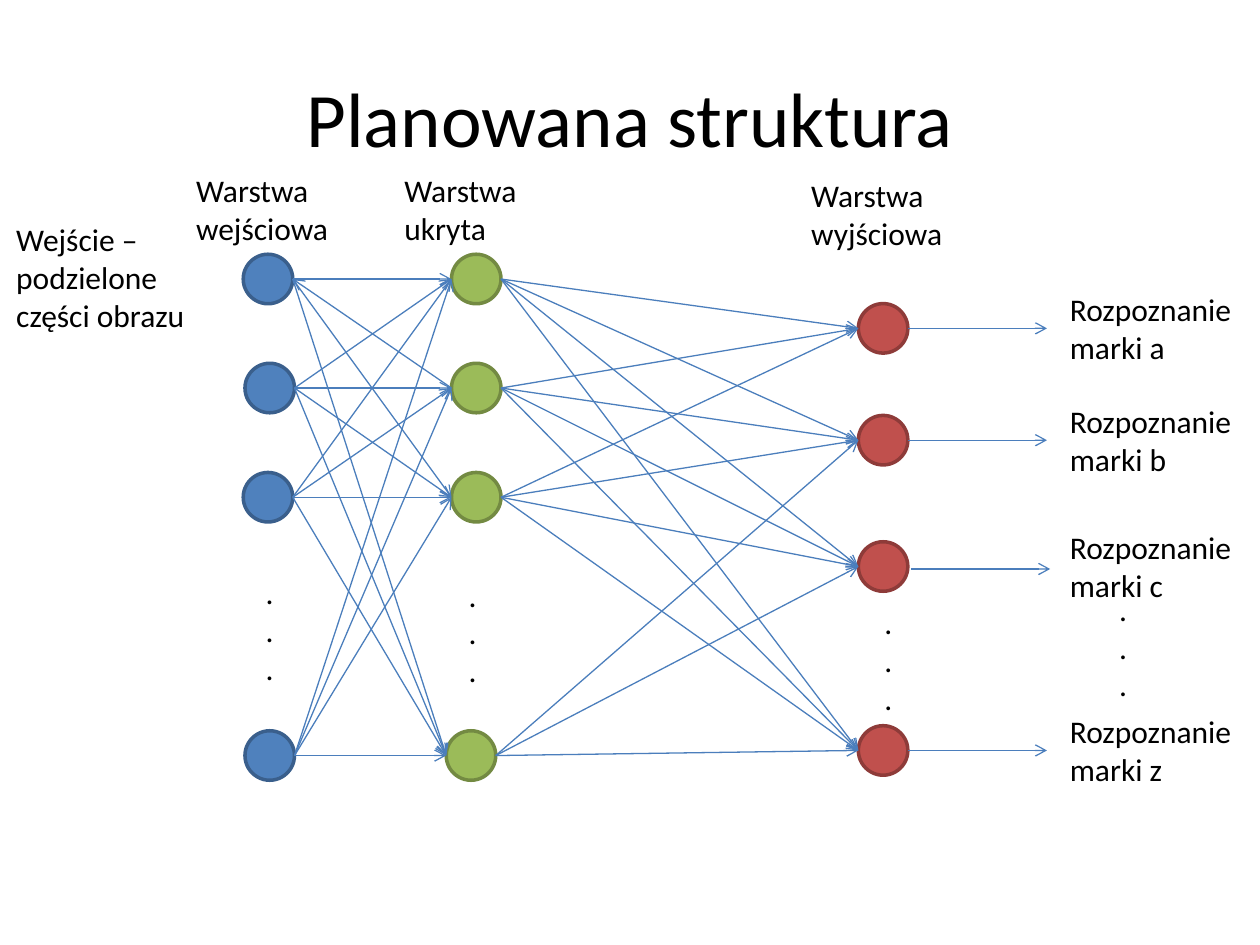
from dataclasses import dataclass
from itertools import product
from lxml.etree import SubElement
from pptx import Presentation
from pptx.dml.color import RGBColor
from pptx.enum.shapes import MSO_CONNECTOR, MSO_SHAPE
from pptx.enum.text import MSO_ANCHOR, MSO_AUTO_SIZE, PP_ALIGN
from pptx.oxml.ns import qn
from pptx.util import Pt


@dataclass(frozen=True)
class Theme:
    font: str = "Calibri"
    head: int = 44
    body: int = 18
    ink: str = "000000"
    wire: str = "4B7EBC"
    blue: tuple = ("4F81BD", "3A5F8C")
    green: tuple = ("9BBB59", "738A42")
    red: tuple = ("C0504D", "8E3B39")


THEME = Theme()
SIZE = 28.3
HALF = SIZE / 2


def color(code):
    return RGBColor.from_string(code)


def style(frame, size):
    for par in frame.paragraphs:
        for run in par.runs:
            run.font.name = THEME.font
            run.font.size = Pt(size)
            run.font.color.rgb = color(THEME.ink)


def label(slide, box, text, wrap=True):
    frame = slide.shapes.add_textbox(*map(Pt, box)).text_frame
    frame.text = text
    frame.word_wrap = wrap
    frame.auto_size = MSO_AUTO_SIZE.SHAPE_TO_FIT_TEXT
    style(frame, THEME.body)


def dots(slide, left, top):
    label(slide, (left, top, 17, 72.7), ".\n.\n.")


def arrow(slide, start, end):
    line = slide.shapes.add_connector(
        MSO_CONNECTOR.STRAIGHT, *map(Pt, (*start, *end)))
    line.line.color.rgb = color(THEME.wire)
    line.line.width = Pt(0.75)
    SubElement(line.line._get_or_add_ln(), qn("a:tailEnd"), type="arrow")
    SubElement(line._element.spPr, qn("a:effectLst"))


def title(slide, box, text):
    shape = slide.shapes.title
    shape.left, shape.top, shape.width, shape.height = map(Pt, box)
    frame = shape.text_frame
    frame.text = text
    frame.vertical_anchor = MSO_ANCHOR.MIDDLE
    frame.paragraphs[0].alignment = PP_ALIGN.CENTER
    style(frame, THEME.head)


def layer(slide, box, text, paint, spots, gap):
    left, top, width, height = box
    fill, edge = paint
    nodes = []
    for dx, dy in spots:
        x, y = left + dx, top + dy
        node = slide.shapes.add_shape(
            MSO_SHAPE.OVAL, Pt(x), Pt(y), Pt(SIZE), Pt(SIZE))
        node.shadow.inherit = False
        node.fill.solid()
        node.fill.fore_color.rgb = color(fill)
        node.line.color.rgb = color(edge)
        node.line.width = Pt(2)
        nodes.append((x, y + HALF))
    label(slide, (left, top, width, 51), text)
    dots(slide, left + gap[0], top + gap[1])
    return nodes


def mesh(slide, tails, heads, skip=(), back=()):
    for i, j in product(range(len(tails)), range(len(heads))):
        if (i, j) in skip:
            continue
        x, y = tails[i]
        ends = [(x + SIZE, y), heads[j]]
        if (i, j) in back:
            ends.reverse()
        arrow(slide, *ends)


def results(slide, box, names, rows, shift):
    left, top, width, height = box
    for name, y, (dx, dy) in zip(names, rows, shift):
        arrow(slide, (left + dx, y + dy), (left + 79.5 + dx, y + dy))
        label(slide, (left + 85.5, y - 25.5, 112.3, 51),
              f"Rozpoznanie \vmarki {name}", wrap=False)
    dots(slide, left + 113.6, top + height / 2 + 25.5)


def build():
    deck = Presentation()
    deck.slide_width, deck.slide_height = Pt(720), Pt(540)
    slide = deck.slides.add_slide(deck.slide_layouts[5])
    title(slide, (36, 21.6, 648, 90), "Planowana struktura")
    label(slide, (2.2, 122.4, 125.3, 72.7),
          "Wejście – podzielone części obrazu")

    first = layer(slide, (105, 94.3, 96.5, 352), "Warstwa wejściowa",
                  THEME.blue,
                  [(34, 51), (35, 113.3), (34, 175.7), (35, 323.3)],
                  (39.7, 229.7))
    mid = layer(slide, (224, 94.3, 96.5, 352), "Warstwa ukryta",
                THEME.green,
                [(34, 51), (34, 113.3), (34, 175.7), (31, 323.3)],
                (36.7, 231.1))
    last = layer(slide, (456.5, 97.2, 96.5, 346), "Warstwa wyjściowa",
                 THEME.red,
                 [(34, 76.3), (34, 140.2), (34, 212.4), (34, 317.5)],
                 (41.8, 244.1))

    mesh(slide, first, mid, back={(0, 1)})
    mesh(slide, mid, last, skip={(3, 0)})
    results(slide, (518.8, 162, 198, 292), "abcz", [y for x, y in last],
            [(0, 0), (0, 0), (1.8, 1.4), (0, 0)])
    deck.save("out.pptx")


if __name__ == "__main__":
    build()
